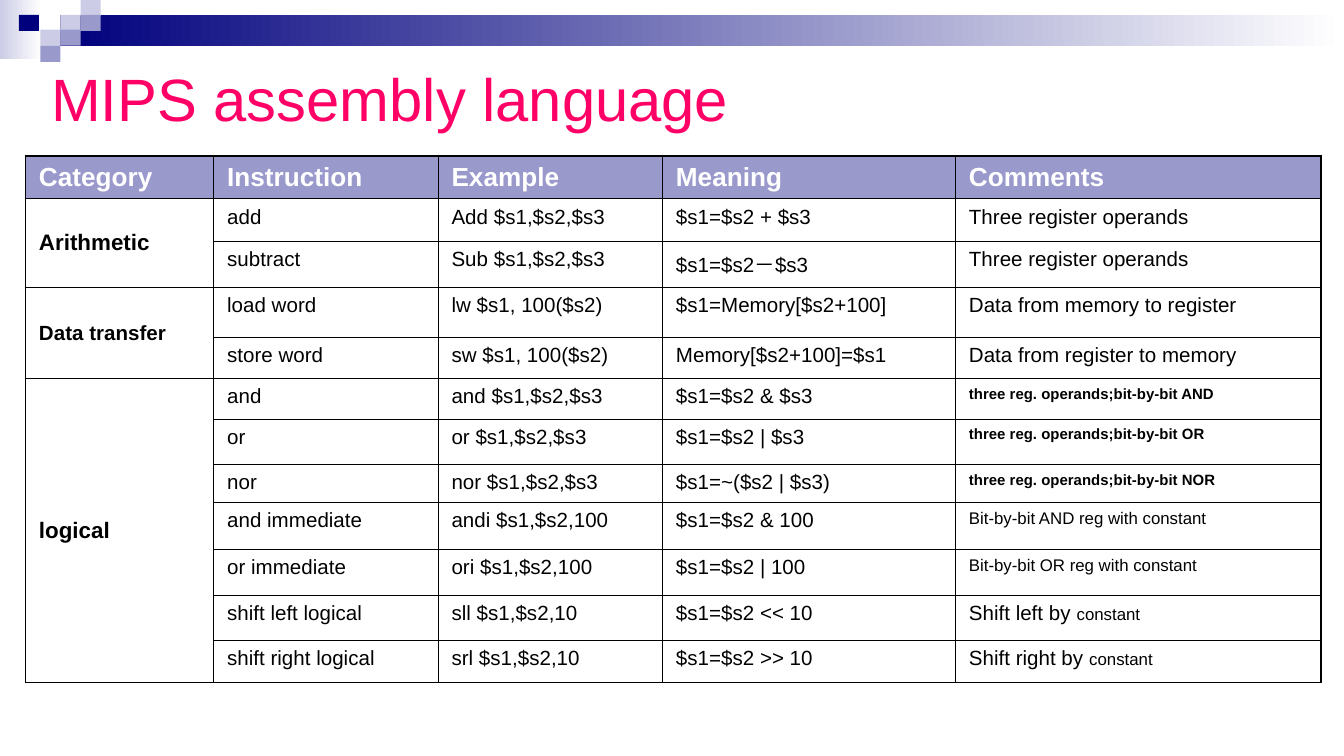
from lxml import etree
from pptx import Presentation
from pptx import util as u
from pptx.dml.color import RGBColor
from pptx.enum import shapes, text
from pptx.oxml import ns

FONT = "Arial"
NAVY, LAVENDER, PALE, WHITE = "00007D", "9999CC", "CCCCE6", "FFFFFF"
BLACK, PINK = "000000", "FF0066"
THIN, THICK = 0.45, 1.08
SLIDE_WIDTH = 10

BLOCK_LEFTS = [0.14, 0.3, 0.45, 0.6]
BLOCK_TOPS = [0, 0.11, 0.22, 0.34]
BLOCKS = [
    (2, 1, PALE), (3, 0, PALE), (3, 1, LAVENDER), (1, 2, PALE),
    (0, 1, NAVY), (2, 2, LAVENDER), (1, 3, LAVENDER),
]

COLUMN_WIDTHS = [1.4, 1.67, 1.67, 2.18, 2.72]
ROW_HEIGHTS = [0.31, 0.32, 0.34, 0.37, 0.31, 0.3, 0.34, 0.28, 0.35, 0.34, 0.34, 0.31]
HEADERS = ["Category", "Instruction", "Example", "Meaning", "Comments"]
CATEGORIES = [("Arithmetic", 2, 12), ("Data transfer", 2, 11), ("logical", 7, 12)]
REGULAR, SMALL, SMALL_BOLD = {"size": 11}, {"size": 9}, {"size": 8, "bold": True}
INSTRUCTIONS = [
    ("add", "Add $s1,$s2,$s3", "$s1=$s2 + $s3", [("Three register operands", REGULAR)]),
    ("subtract", "Sub $s1,$s2,$s3", "$s1=$s2－$s3", [("Three register operands", REGULAR)]),
    ("load word", "lw $s1, 100($s2)", "$s1=Memory[$s2+100]",
     [("Data from memory to register", REGULAR)]),
    ("store word", "sw $s1, 100($s2)", "Memory[$s2+100]=$s1",
     [("Data from register to memory", REGULAR)]),
    ("and", "and $s1,$s2,$s3", "$s1=$s2 & $s3",
     [("three reg. operands;bit-by-bit AND", SMALL_BOLD)]),
    ("or", "or $s1,$s2,$s3", "$s1=$s2 | $s3",
     [("three reg. operands;bit-by-bit OR", SMALL_BOLD)]),
    ("nor", "nor $s1,$s2,$s3", "$s1=~($s2 | $s3)",
     [("three reg. operands;bit-by-bit NOR", SMALL_BOLD)]),
    ("and immediate", "andi $s1,$s2,100", "$s1=$s2 & 100",
     [("Bit-by-bit AND reg with constant", SMALL)]),
    ("or immediate", "ori $s1,$s2,100", "$s1=$s2 | 100",
     [("Bit-by-bit OR reg with constant", SMALL)]),
    ("shift left logical", "sll $s1,$s2,10", "$s1=$s2 << 10",
     [("Shift left by ", REGULAR), ("constant", SMALL)]),
    ("shift right logical", "srl $s1,$s2,10", "$s1=$s2 >> 10",
     [("Shift right by ", REGULAR), ("constant", SMALL)]),
]


def rgb(value):
    return RGBColor.from_string(value)


def write(paragraph, content, size=11, bold=False, color=BLACK):
    run = paragraph.add_run()
    run.text = content
    run.font.name = FONT
    run.font.size = u.Pt(size)
    run.font.bold = bold
    run.font.color.rgb = rgb(color)


def add_rectangle(slide, left, top, width, height, color, fade_to=None):
    shape = slide.shapes.add_shape(
        shapes.MSO_SHAPE.RECTANGLE,
        u.Inches(left), u.Inches(top), u.Inches(width), u.Inches(height))
    shape.shadow.inherit = False
    shape.line.fill.background()
    if fade_to:
        shape.fill.gradient()
        shape.fill.gradient_angle = 0
        for stop, stop_color in zip(shape.fill.gradient_stops, (color, fade_to)):
            stop.color.rgb = rgb(stop_color)
    else:
        shape.fill.solid()
        shape.fill.fore_color.rgb = rgb(color)


def add_banner(slide):
    add_rectangle(slide, 0, 0, 0.31, 0.44, PALE, fade_to=WHITE)
    add_rectangle(slide, 0.45, 0.11, 9.55, 0.23, NAVY, fade_to=WHITE)
    for column, row, color in BLOCKS:
        add_rectangle(slide, BLOCK_LEFTS[column], BLOCK_TOPS[row], 0.15, 0.12, color)


def format_title(slide, content):
    title = slide.shapes.title
    title.left, title.top = u.Inches(0.28), u.Inches(0.53)
    title.width, title.height = u.Inches(9.34), u.Inches(0.39)
    frame = title.text_frame
    frame.auto_size = text.MSO_AUTO_SIZE.NONE
    frame.vertical_anchor = text.MSO_ANCHOR.MIDDLE
    paragraph = frame.paragraphs[0]
    paragraph.alignment = text.PP_ALIGN.LEFT
    write(paragraph, content, size=32, color=PINK)


def set_borders(cell, **widths):
    properties = cell._tc.get_or_add_tcPr()
    for side in ("L", "R", "T", "B"):
        line = etree.SubElement(properties, ns.qn(f"a:ln{side}"), w=str(u.Pt(widths[side])))
        fill = etree.SubElement(line, ns.qn("a:solidFill"))
        etree.SubElement(fill, ns.qn("a:srgbClr"), val=BLACK)


def style_cells(table):
    last_column = len(COLUMN_WIDTHS) - 1
    for row_index, row in enumerate(table.rows):
        for column_index, cell in enumerate(row.cells):
            set_borders(
                cell,
                L=THICK if column_index == 0 else THIN,
                R=THICK if column_index == last_column else THIN,
                T=THICK if row_index == 0 else THIN,
                B=THIN)
            if row_index == 0:
                cell.fill.solid()
                cell.fill.fore_color.rgb = rgb(LAVENDER)
            else:
                cell.fill.background()
            cell.margin_left = cell.margin_right = u.Inches(0.1)
            cell.margin_top = cell.margin_bottom = u.Inches(0.05)


def fill_cell(cell, runs):
    paragraph = cell.text_frame.paragraphs[0]
    for content, style in runs:
        write(paragraph, content, **style)


def add_instruction_table(slide):
    table = slide.shapes.add_table(
        len(ROW_HEIGHTS), len(COLUMN_WIDTHS), u.Inches(0.19), u.Inches(1.16),
        u.Inches(sum(COLUMN_WIDTHS)), u.Inches(sum(ROW_HEIGHTS))).table
    table.first_row = table.horz_banding = False
    for column, width in zip(table.columns, COLUMN_WIDTHS):
        column.width = u.Inches(width)
    for row, height in zip(table.rows, ROW_HEIGHTS):
        row.height = u.Inches(height)
    style_cells(table)

    for column, header in enumerate(HEADERS):
        fill_cell(table.cell(0, column), [(header, {"size": 14, "bold": True, "color": WHITE})])
    for row, (*code, comment) in enumerate(INSTRUCTIONS, 1):
        for column, content in enumerate(code, 1):
            fill_cell(table.cell(row, column), [(content, REGULAR)])
        fill_cell(table.cell(row, 4), comment)

    first_row = 1
    for name, count, size in CATEGORIES:
        cell = table.cell(first_row, 0)
        cell.merge(table.cell(first_row + count - 1, 0))
        cell.vertical_anchor = text.MSO_ANCHOR.MIDDLE
        fill_cell(cell, [(name, {"size": size, "bold": True})])
        first_row += count


def main():
    presentation = Presentation()
    presentation.slide_width = u.Inches(SLIDE_WIDTH)
    presentation.slide_height = u.Inches(SLIDE_WIDTH * 9 / 16)
    slide = presentation.slides.add_slide(presentation.slide_layouts[5])
    add_banner(slide)
    format_title(slide, "MIPS assembly language")
    add_instruction_table(slide)
    presentation.save("out.pptx")


if __name__ == "__main__":
    main()
